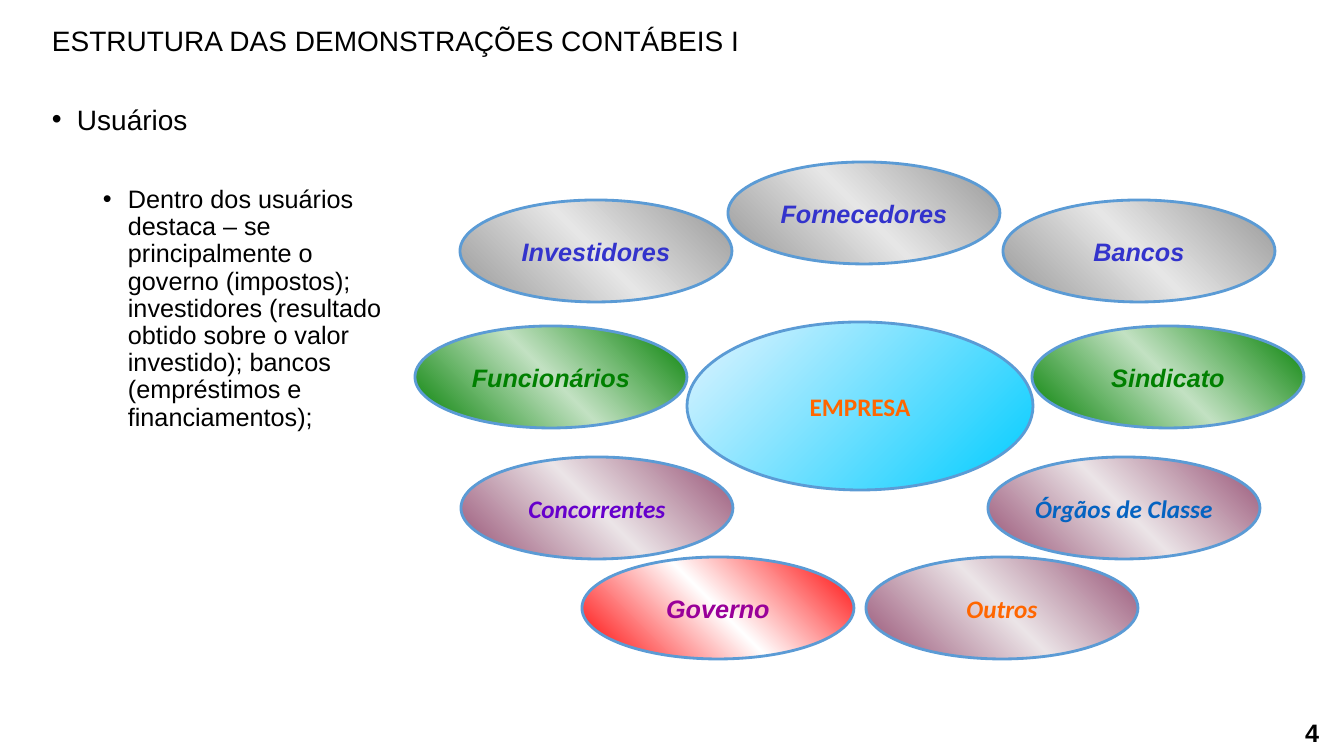
from copy import deepcopy

from lxml.etree import SubElement
from pptx import Presentation
from pptx.dml.color import RGBColor
from pptx.enum.shapes import MSO_SHAPE
from pptx.enum.text import MSO_ANCHOR, PP_ALIGN
from pptx.oxml.ns import qn
from pptx.util import Pt

PX = 914400 / 100.8
GREY = ("969696", "E6E6E6", "969696")
GREEN = ("008000", "C2E1C2", "008000")
PLUM = ("954F72", "EBE4E7", "954F72")
RED = ("FF0000", "FFFFFF", "FF0000")
SKY = ("E2F4FF", "00CCFF")
USER_SIZE = (272, 102)
USERS = [
    ("Investidores", 460, 200, GREY, "3333CC", "Arial"),
    ("Fornecedores", 728, 162, GREY, "3333CC", "Arial"),
    ("Bancos", 1003, 200, GREY, "3333CC", "Arial"),
    ("Governo", 582, 557, RED, "990099", "Arial"),
    ("Sindicato", 1032, 326, GREEN, "008000", "Arial"),
    ("Funcionários", 415, 326, GREEN, "008000", "Arial"),
    ("Órgãos de Classe", 988, 457, PLUM, "0563C1", "Calibri"),
    ("Concorrentes", 461, 457, PLUM, "6600CC", "Calibri"),
    ("Outros", 866, 557, PLUM, "FF6600", "Calibri"),
]


def px(*lengths):
    """Turn pixel lengths into EMU."""
    return [round(n * PX) for n in lengths]


def rgb(value):
    """Turn a hex string into a colour."""
    return RGBColor.from_string(value)


def style(p, size, color="000000", font="Arial", bold=False, italic=False):
    """Format every run of a paragraph."""
    for r in p.runs:
        r.font.size, r.font.name = Pt(size), font
        r.font.bold, r.font.italic = bold, italic
        r.font.color.rgb = rgb(color)


def add_text(slide, box, text, size, bold=False, align=PP_ALIGN.LEFT, anchor=MSO_ANCHOR.TOP):
    """Add a wrapping text box and return its text frame."""
    tf = slide.shapes.add_textbox(*px(*box)).text_frame
    tf.word_wrap, tf.vertical_anchor = True, anchor
    p = tf.paragraphs[0]
    p.text, p.alignment = text, align
    style(p, size, bold=bold)
    return tf


def add_bullet(p, indent, hanging):
    """Give a paragraph a round bullet and a hanging indent."""
    pPr = p._p.get_or_add_pPr()
    left, hang = px(indent, hanging)
    pPr.set("marL", str(left))
    pPr.set("indent", str(-hang))
    SubElement(pPr, qn("a:buFont")).set("typeface", "Arial")
    SubElement(pPr, qn("a:buChar")).set("char", "•")
    p.line_spacing = 0.9


def add_body(slide, box):
    """Place the bulleted topic and its detail."""
    tf = add_text(slide, box, "Usuários", 20)
    add_bullet(tf.paragraphs[0], 25, 25)
    p = tf.add_paragraph()
    p.text = (
        "Dentro dos usuários destaca – se principalmente o governo (impostos); "
        "investidores (resultado obtido sobre o valor investido); "
        "bancos (empréstimos e financiamentos);"
    )
    p.level = 1
    add_bullet(p, 76, 25)
    p.space_before = Pt(36)
    style(p, 18)


def fill_gradient(sp, colors, angle):
    """Fill a shape with evenly spaced gradient stops."""
    sp.fill.gradient()
    sp.fill.gradient_angle = angle
    stops = sp._element.spPr.find(qn("a:gradFill")).find(qn("a:gsLst"))
    for _ in colors[2:]:
        stops.append(deepcopy(stops[0]))
    for i, (stop, color) in enumerate(zip(sp.fill.gradient_stops, colors)):
        stop.position = i / (len(colors) - 1)
        stop.color.rgb = rgb(color)


def add_ellipse(slide, box, text, colors, angle, color, font, italic=True):
    """Draw a labelled gradient ellipse."""
    sp = slide.shapes.add_shape(MSO_SHAPE.OVAL, *px(*box))
    sp.shadow.inherit = False
    fill_gradient(sp, colors, angle)
    sp.line.color.rgb, sp.line.width = rgb("5B9BD5"), Pt(2)
    tf = sp.text_frame
    tf.word_wrap, tf.vertical_anchor = False, MSO_ANCHOR.MIDDLE
    p = tf.paragraphs[0]
    p.text, p.alignment = text, PP_ALIGN.CENTER
    style(p, 18, color, font, True, italic)


def add_diagram(slide, box):
    """Place the company and its ring of users inside the box."""
    left, top, width, height = box
    company = (left + 272, top + 160, 346, 168)
    add_ellipse(slide, company, "EMPRESA", SKY, 315, "FF6600", "Calibri", False)
    for text, x, y, colors, color, font in USERS:
        user = (left + x - 415, top + y - 162, *USER_SIZE)
        add_ellipse(slide, user, text, colors, 45, color, font)


def main():
    """Build and save the slide."""
    prs = Presentation()
    prs.slide_width, prs.slide_height = px(1344, 756)
    slide = prs.slides.add_slide(prs.slide_layouts[6])
    add_text(slide, (42, 19, 781, 44), "ESTRUTURA DAS DEMONSTRAÇÕES CONTÁBEIS I", 20)
    add_body(slide, (42, 101, 373, 581))
    add_text(slide, (1027, 712, 302, 40), "4", 18, True, PP_ALIGN.RIGHT, MSO_ANCHOR.MIDDLE)
    add_diagram(slide, (415, 162, 889, 497))
    prs.save("out.pptx")


if __name__ == "__main__":
    main()
